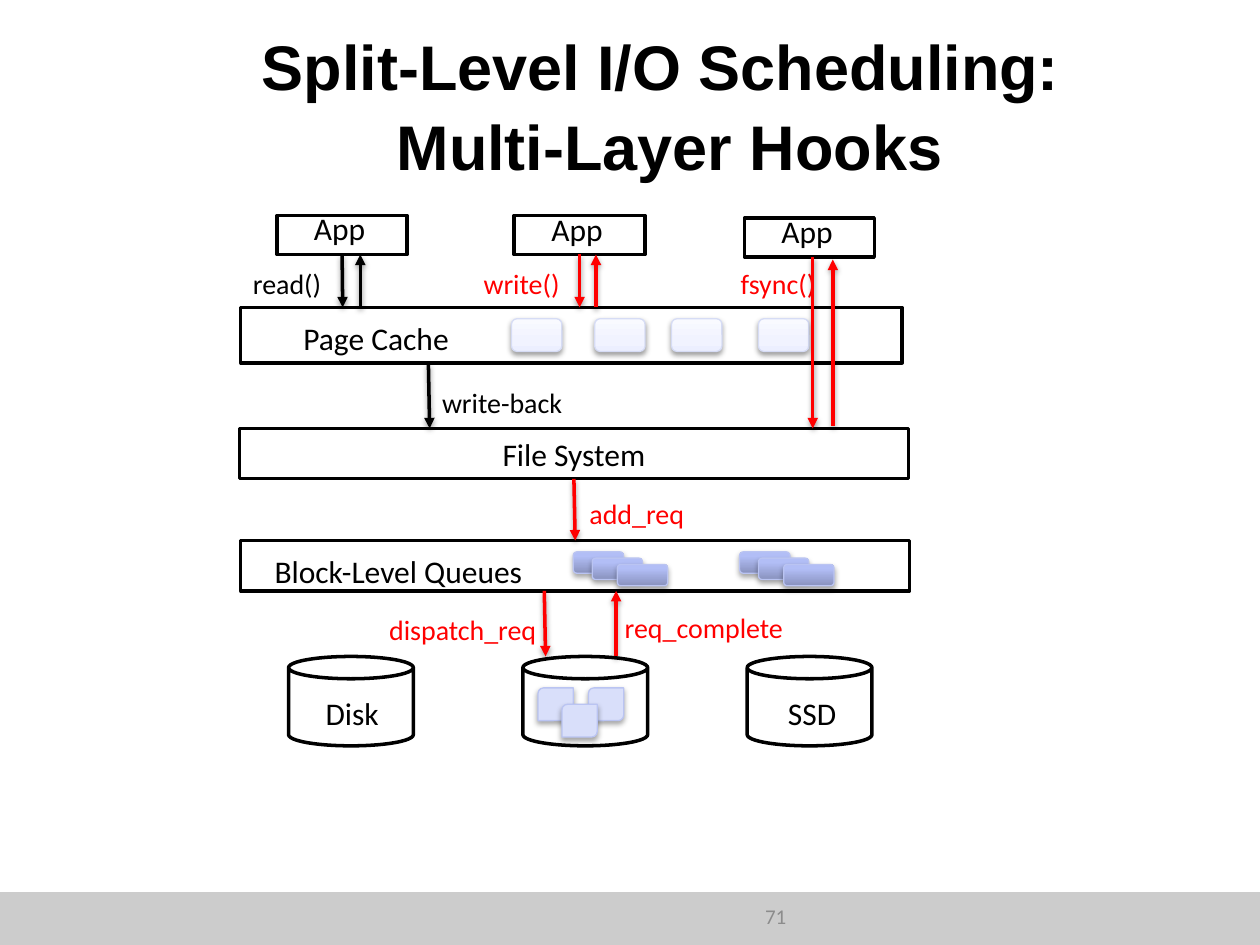
import pptx
import pptx.util
import pptx.oxml
import pptx.oxml.ns
import pptx.dml.color
import pptx.enum.shapes
import pptx.enum.text

Inches, Pt = pptx.util.Inches, pptx.util.Pt
RGB = pptx.dml.color.RGBColor.from_string
MSO = pptx.enum.shapes.MSO_SHAPE
ALIGN = pptx.enum.text.PP_ALIGN
qn = pptx.oxml.ns.qn
NS = 'xmlns:a="http://schemas.openxmlformats.org/drawingml/2006/main"'

COLORS = {
    "black": "000000", "white": "FFFFFF", "red": "FF0000",
    "footer": "CCCCCC", "number": "8C8C8C",
    "page_line": "D6DCF5", "block_line": "BAC4F2", "stored": "D9DFFA",
}
PAGE_FILL = [(0, "ECEFFF"), (35, "F1F3FF"), (100, "F9FAFF")]
REQUEST_FILL = [(0, "8992BE"), (80, "B2BEF6"), (100, "B2BEF9")]

prs = pptx.Presentation()
prs.slide_width, prs.slide_height = Inches(10), Inches(7.5)
s = prs.slides.add_slide(prs.slide_layouts[6])


def set_effects(sp, alpha=0, dist=0):
    """Replace the theme shadow: a soft drop shadow, or none if alpha is 0."""
    spPr = sp._element.spPr
    for old in spPr.findall(qn("a:effectLst")):
        spPr.remove(old)
    shadow = (
        f'<a:outerShdw blurRad="{Pt(3.1)}" dist="{Pt(dist)}" dir="5400000" rotWithShape="0">'
        f'<a:srgbClr val="{COLORS["black"]}"><a:alpha val="{alpha * 1000}"/></a:srgbClr>'
        '</a:outerShdw>') if alpha else ""
    spPr.append(pptx.oxml.parse_xml(f"<a:effectLst {NS}>{shadow}</a:effectLst>"))


def add_text(text, x, y, w, h, size=18, color="black", align=ALIGN.CENTER, font="Calibri"):
    tf = s.shapes.add_textbox(Inches(x), Inches(y), Inches(w), Inches(h)).text_frame
    tf.word_wrap = True
    p = tf.paragraphs[0]
    p.text = text
    p.alignment = align
    p.font.size, p.font.name = Pt(size), font
    p.font.color.rgb = RGB(COLORS[color])
    return tf


# Footer and title
sp = s.shapes.add_shape(MSO.RECTANGLE, Inches(0), Inches(7.08), Inches(10), Inches(0.42))
sp.fill.solid()
sp.fill.fore_color.rgb = RGB(COLORS["footer"])
sp.line.fill.background()
sp.shadow.inherit = False
add_text("71", 4.01, 7.12, 2.33, 0.33, 12, "number", ALIGN.RIGHT)

tf = add_text("Split-Level I/O Scheduling: \vMulti-Layer Hooks",
              1.06, 0.33, 8.51, 0.98, 36, font="Arial")
tf.vertical_anchor = pptx.enum.text.MSO_ANCHOR.MIDDLE
tf.paragraphs[0].font.bold = True
tf.paragraphs[0].line_spacing = 1.05

# Styles: preset, fill, line colour, line width, shadow alpha, shadow distance
STYLES = {
    "layer": (MSO.RECTANGLE, "white", "black", 2, 0, 0),
    "device": (MSO.CAN, "white", "black", 2, 0, 0),
    "page": (MSO.ROUNDED_RECTANGLE, PAGE_FILL, "page_line", 0.75, 38, 1.6),
    "request": (MSO.ROUNDED_RECTANGLE, REQUEST_FILL, "block_line", 0.75, 35, 1.8),
    "stored": (MSO.ROUND_2_DIAG_RECTANGLE, "stored", "block_line", 0.75, 35, 1.8),
}

# Parts: name, style, left, top, width, height
parts = [
    ("app_read", "layer", 2.2, 1.71, 1.03, 0.31),
    ("app_write", "layer", 4.08, 1.71, 1.04, 0.31),
    ("app_fsync", "layer", 5.91, 1.73, 1.03, 0.31),
    ("page_cache", "layer", 1.91, 2.44, 5.25, 0.44),
    ("file_system", "layer", 1.9, 3.4, 5.31, 0.4),
    ("queues", "layer", 1.91, 4.29, 5.31, 0.4),
]
parts += [("page", "page", x, 2.53, 0.4, 0.26) for x in (4.06, 4.72, 5.33, 6.02)]
parts += [("request", "request", x + dx, 4.38 + dy, 0.4, 0.17)
          for x in (4.55, 5.87) for dx, dy in ((0, 0), (0.15, 0.05), (0.35, 0.1))]
parts += [("device", "device", x, 5.21, 0.99, 0.71) for x in (2.29, 4.15, 5.93)]
parts += [("stored", "stored", x, y, 0.28, 0.26)
          for x, y in ((4.27, 5.46), (4.67, 5.46), (4.46, 5.59))]

shapes = {}
for name, style, x, y, w, h in parts:
    preset, fill, line, width, alpha, dist = STYLES[style]
    sp = s.shapes.add_shape(preset, Inches(x), Inches(y), Inches(w), Inches(h))
    if isinstance(fill, list):
        sp.fill.gradient()
        sp.fill.gradient_angle = 90
        stops = sp._element.spPr.find(".//" + qn("a:gsLst"))
        for old in list(stops):
            stops.remove(old)
        for pos, color in fill:
            stops.append(pptx.oxml.parse_xml(
                f'<a:gs {NS} pos="{pos * 1000}"><a:srgbClr val="{color}"/></a:gs>'))
    else:
        sp.fill.solid()
        sp.fill.fore_color.rgb = RGB(COLORS[fill])
    sp.line.color.rgb = RGB(COLORS[line])
    sp.line.width = Pt(width)
    set_effects(sp, alpha, dist)
    shapes[name] = sp

# Names of the parts
for text, x, y, w, h in [
    ("App", 2.18, 1.61, 1.03, 0.23),
    ("App", 4.06, 1.62, 1.04, 0.23),
    ("App", 5.89, 1.63, 1.03, 0.23),
    ("Page Cache", 1.9, 2.48, 2.17, 0.32),
    ("File System", 1.9, 3.4, 5.31, 0.26),
    ("Block-Level Queues ", 1.95, 4.33, 2.48, 0.32),
    ("Disk", 2.35, 5.46, 0.89, 0.32),
    ("SSD", 6, 5.46, 0.89, 0.32),
]:
    add_text(text, x, y, w, h)

# Names of the hooks
for text, x, y, w, color in [
    ("read()", 1.91, 2.07, 0.8, "black"),
    ("write()", 3.74, 2.07, 0.9, "red"),
    ("fsync()", 5.78, 2.07, 0.81, "red"),
    ("write-back", 3.41, 3.01, 1.32, "black"),
    ("add_req", 4.58, 3.89, 1.02, "red"),
    ("dispatch_req", 2.99, 4.81, 1.48, "red"),
    ("req_complete", 4.86, 4.8, 1.55, "red"),
]:
    add_text(text, x, y, w, 0.36, 16, color, ALIGN.LEFT)

# Arrows: start, end, colour, part joined at its bottom, part joined at its top
for x1, y1, x2, y2, color, above, below in [
    (2.72, 2.02, 2.72, 2.44, "black", "app_read", None),
    (2.86, 2.44, 2.86, 2.02, "black", None, None),
    (4.6, 2.02, 4.6, 2.44, "red", "app_write", None),
    (4.73, 2.44, 4.73, 2.02, "red", None, None),
    (6.45, 2.04, 6.45, 3.4, "red", None, None),
    (6.61, 3.38, 6.61, 2.06, "red", None, None),
    (3.4, 2.89, 3.41, 3.4, "black", None, None),
    (4.57, 3.8, 4.58, 4.29, "red", "file_system", "queues"),
    (4.32, 4.69, 4.33, 5.21, "red", None, None),
    (4.89, 5.21, 4.89, 4.69, "red", None, None),
]:
    sp = s.shapes.add_connector(pptx.enum.shapes.MSO_CONNECTOR.STRAIGHT,
                                Inches(x1), Inches(y1), Inches(x2), Inches(y2))
    if above:
        sp.begin_connect(shapes[above], 2)
    if below:
        sp.end_connect(shapes[below], 0)
    sp.line.color.rgb = RGB(COLORS[color])
    sp.line.width = Pt(2)
    sp.line._get_or_add_ln().append(
        pptx.oxml.parse_xml(f'<a:tailEnd {NS} type="triangle"/>'))
    set_effects(sp, 38, 1.6)

prs.save("out.pptx")
